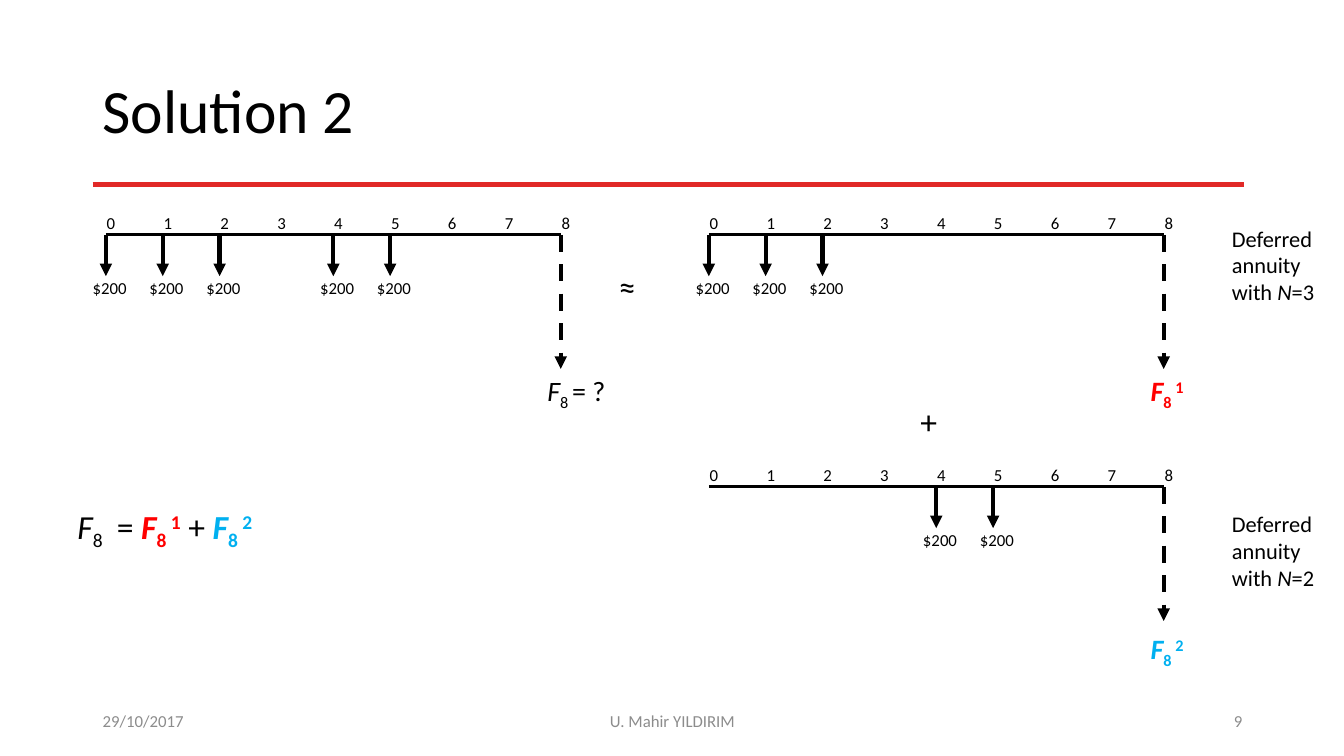
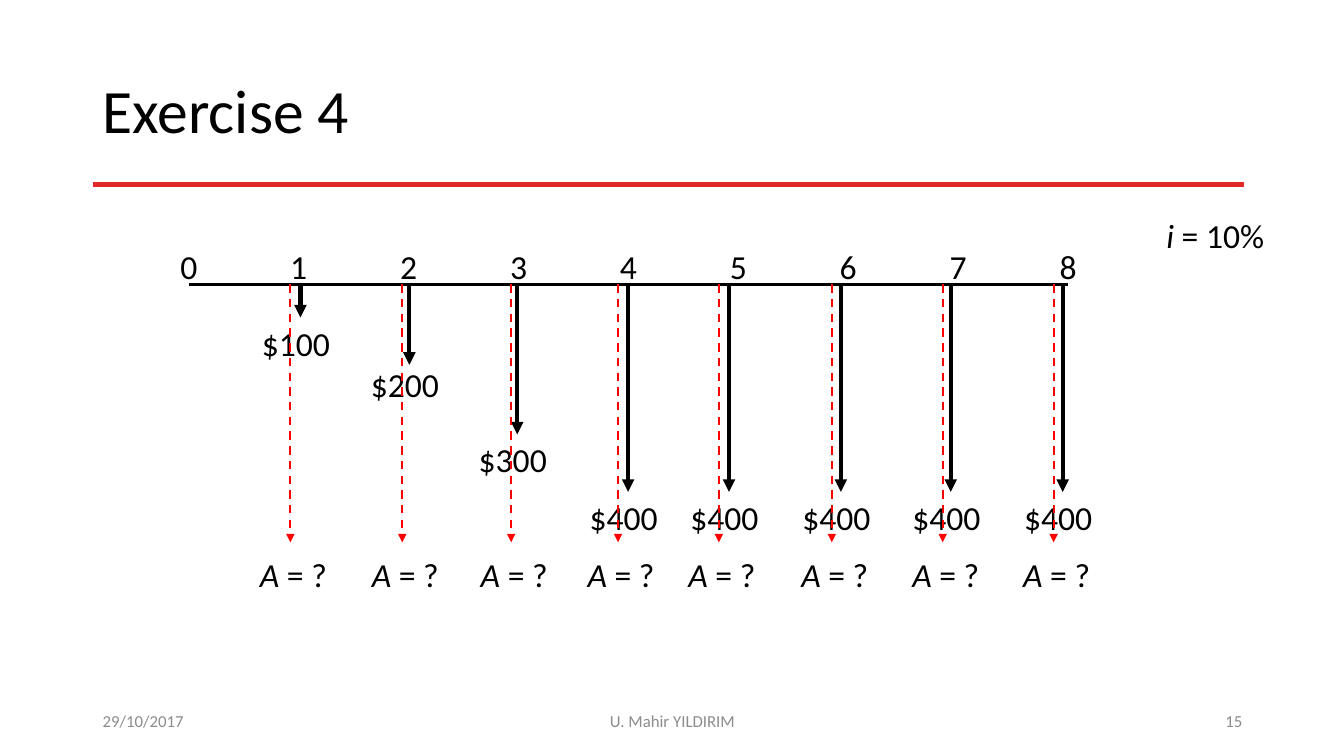
from lxml import etree
from pptx import Presentation
from pptx import util as u
from pptx.dml.color import RGBColor
from pptx.enum import dml, shapes, text
from pptx.oxml import ns

BLACK, RED, BLUE, RULE, GREY = "000000", "FF0000", "00B0F0", "E12927", "8C8C8C"
LEFT, MID, RIGHT = text.PP_ALIGN.LEFT, text.PP_ALIGN.CENTER, text.PP_ALIGN.RIGHT


def rgb(code):
    return RGBColor.from_string(code)


def term(num, color):
    """Runs for a bold F8 with a raised number."""
    return [("F", "bi", color), ("8 ", "b-", color), (num, "b+", color)]


class Deck:
    font = "Calibri"

    def __init__(self):
        self.prs = Presentation()
        self.prs.slide_width = u.Inches(13.33)
        self.prs.slide_height = u.Inches(7.5)
        self.slide = None

    def page(self, title, num):
        """Start a slide with its title, rule and footer."""
        self.slide = self.prs.slides.add_slide(self.prs.slide_layouts[6])
        self.line(0.92, 1.83, 12.34, 1.83, RULE)
        para = self.text(title, 0.92, 0.4, 11.5, 1.45, 44, mid=True)
        para.line_spacing = 0.9
        for words, x, w, align in (("29/10/2017", 0.92, 3, LEFT),
                                   ("U. Mahir YILDIRIM", 4.42, 4.5, MID),
                                   (num, 9.42, 3, RIGHT)):
            self.text(words, x, 6.95, w, 0.4, 12, GREY, align, mid=True)

    def text(self, runs, x, y, w, h, size, color=BLACK, align=LEFT, mid=False):
        """Add one paragraph; runs are a string or (words, marks, colour) tuples.

        Marks: b bold, i italic, - subscript, + superscript.
        """
        box = self.slide.shapes.add_textbox(*map(u.Inches, (x, y, w, h)))
        frame = box.text_frame
        frame.word_wrap = True
        if mid:
            frame.vertical_anchor = text.MSO_ANCHOR.MIDDLE
        else:
            frame.auto_size = text.MSO_AUTO_SIZE.SHAPE_TO_FIT_TEXT
        para = frame.paragraphs[0]
        para.alignment = align
        para.font.name = self.font
        para.font.size = u.Pt(size)
        para.font.color.rgb = rgb(color)
        for words, marks, *tint in [(runs, "")] if isinstance(runs, str) else runs:
            run = para.add_run()
            run.text = words
            if "b" in marks:
                run.font.bold = True
            if "i" in marks:
                run.font.italic = True
            if tint:
                run.font.color.rgb = rgb(tint[0])
            for mark, shift in (("-", "-25000"), ("+", "30000")):
                if mark in marks:
                    run._r.get_or_add_rPr().set("baseline", shift)
        return para

    def line(self, x1, y1, x2, y2, color=BLACK, width=3, dash=False, head=False):
        link = self.slide.shapes.add_connector(
            shapes.MSO_CONNECTOR.STRAIGHT, *map(u.Inches, (x1, y1, x2, y2)))
        link.line.color.rgb = rgb(color)
        link.line.width = u.Pt(width)
        if dash:
            link.line.dash_style = dml.MSO_LINE.DASH
        if head:
            etree.SubElement(link.line._get_or_add_ln(), ns.qn("a:tailEnd"),
                             type="triangle")
        etree.SubElement(link._element.spPr, ns.qn("a:effectLst"))

    def arrow(self, x, top, end, **style):
        self.line(x, top, x, end, head=True, **style)

    def axis(self, x, y, step, size, dx, dy, w, h):
        """Draw a time line with periods 0 to 8 above it."""
        self.line(x, y, x + 8 * step, y, width=2.25)
        for n in range(9):
            self.text(str(n), x + n * step - dx, y - dy, w, h, size)

    def flow(self, x, y, times):
        """Draw a small cash flow: $200 at each time, unknown sum at 8."""
        step = 0.564
        self.axis(x, y, step, 12, 0.09, 0.27, 0.22, 0.3)
        for n in times:
            at = x + n * step
            self.arrow(at, y, y + 0.41)
            self.text("$200", at - 0.23, y + 0.38, 1.01, 0.3, 12)
        self.arrow(x + 8 * step, y, y + 1.33, dash=True)


def split(deck):
    deck.page("Solution 2", "9")
    deck.flow(1.05, 2.33, (0, 1, 2, 4, 5))
    deck.text([("F", "i"), ("8 ", "-"), ("= ?", "")], 5.33, 3.66, 1.01, 0.44, 20)
    deck.text("≈", 6.04, 2.59, 0.37, 0.5, 24)
    deck.text("+", 9.03, 3.93, 0.37, 0.5, 24)
    parts = ((2.33, (0, 1, 2), "1", RED, 3.66, 2.18),
             (4.83, (4, 5), "2", BLUE, 6.22, 5.01))
    for y, times, num, color, low, side in parts:
        deck.flow(7.03, y, times)
        deck.text(term(num, color), 11.07, low, 1.01, 0.44, 20, align=MID)
        deck.text([("Deferred annuity with ", ""), ("N", "i"), (f"={len(times)}", "")],
                  12.12, side, 1.21, 0.91, 16)
    total = [("F", "i"), ("8 \t", "-"), ("= ", ""), *term("1", RED),
             (" + ", ""), *term("2", BLUE)]
    para = deck.text(total, 0.67, 4.97, 2.02, 0.5, 24)
    props = para._p.get_or_add_pPr()
    props.set("marL", str(u.Inches(0.39)))
    props.set("indent", str(u.Inches(-0.39)))


def level(deck):
    deck.page("Exercise 4", "15")
    top = 2.82
    deck.axis(1.87, top, 1.09, 24, 0.18, 0.43, 0.38, 0.5)
    deck.text([("i", "i"), (" = 10%", "")], 11.47, 2.08, 1.54, 0.5, 24)
    # Amount, arrow end, label top
    pays = [("$100", 3.15, 3.15), ("$200", 3.62, 3.56), ("$300", 4.31, 4.31)]
    pays += [("$400", 4.88, 4.88)] * 5
    solid = (2.98, 4.06, 5.13, 6.23, 7.23, 8.34, 9.43, 10.54)
    dashed = (2.88, 3.99, 5.07, 6.13, 7.13, 8.25, 9.35, 10.45)
    for (pay, end, low), x, dash in zip(pays, solid, dashed):
        deck.arrow(x, top, end)
        deck.text(pay, x - 0.48, low, 0.96, 0.5, 24)
        deck.arrow(dash, top, 5.38, color=RED, width=1.5, dash=True)
        deck.text([("A ", "i"), ("= ?", "")], dash - 0.4, 5.45, 0.96, 0.5, 24)


def main():
    deck = Deck()
    split(deck)
    level(deck)
    deck.prs.save("out.pptx")


if __name__ == "__main__":
    main()
